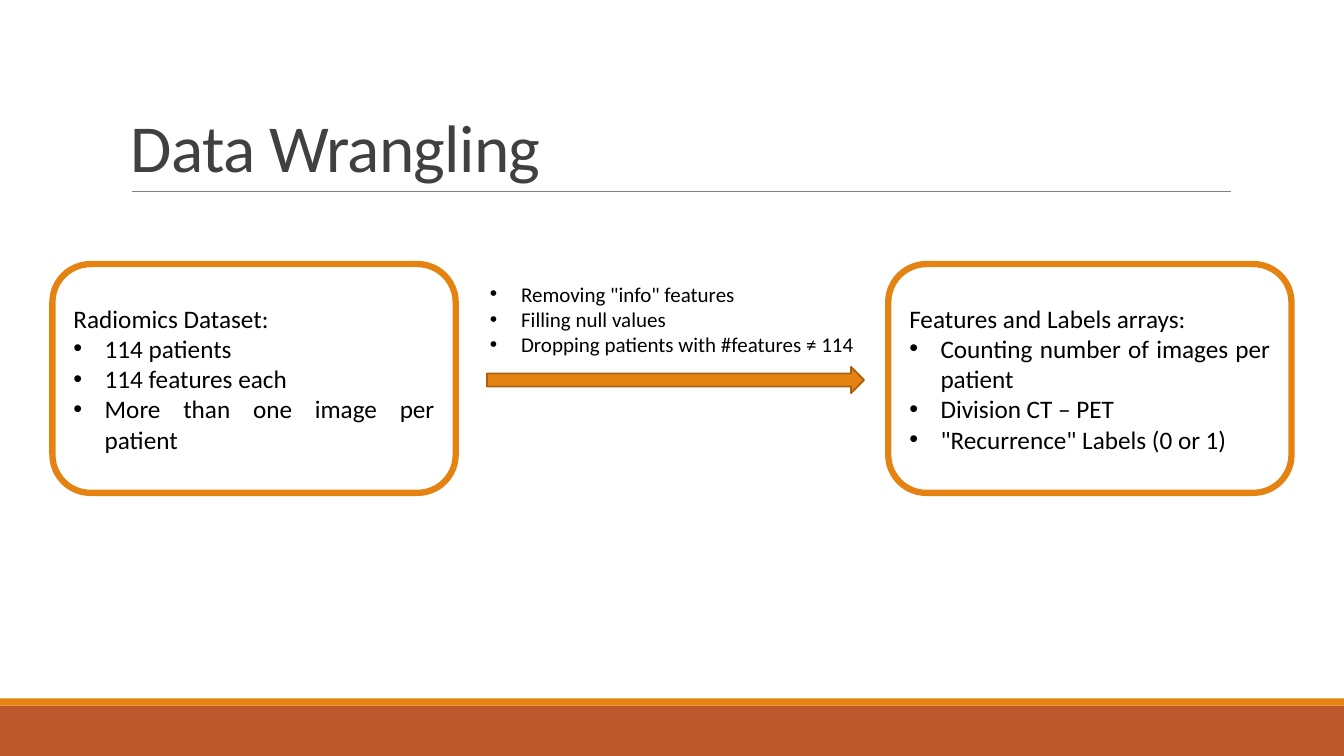
from lxml.etree import SubElement
from pptx import Presentation
from pptx.dml.color import RGBColor
from pptx.enum.shapes import MSO_CONNECTOR as Connector, MSO_SHAPE as Shape
from pptx.enum.text import MSO_ANCHOR as Anchor, PP_ALIGN as Align
from pptx.oxml.ns import qn
from pptx.util import Inches, Pt

ORANGE = "E48312"


def color(value):
    return RGBColor.from_string(value)


class SlideBuilder:
    font = "Calibri"
    ink = "000000"
    bullet_indent = Inches(0.31)

    def __init__(self, slide):
        self.slide = slide

    def shape(self, kind, box, fill=None, line=None, width=1):
        item = self.slide.shapes.add_shape(kind, *map(Inches, box))
        item.shadow.inherit = False
        if fill:
            item.fill.solid()
            item.fill.fore_color.rgb = color(fill)
        else:
            item.fill.background()
        if line:
            item.line.color.rgb = color(line)
            item.line.width = Pt(width)
        else:
            item.line.fill.background()
        return item

    def rule(self, start, end, line, width):
        connector = self.slide.shapes.add_connector(
            Connector.STRAIGHT, *map(Inches, start + end))
        connector.line.color.rgb = color(line)
        connector.line.width = Pt(width)
        SubElement(connector._element.spPr, qn("a:effectLst"))

    def text_box(self, box, anchor=Anchor.TOP):
        frame = self.slide.shapes.add_textbox(*map(Inches, box)).text_frame
        frame.word_wrap = True
        frame.vertical_anchor = anchor
        return frame

    def run(self, paragraph, text, size, ink=None):
        run = paragraph.add_run()
        run.text = text
        run.font.name = self.font
        run.font.size = Pt(size)
        run.font.color.rgb = color(ink or self.ink)
        return run

    def title(self, box, text):
        paragraph = self.text_box(box, Anchor.BOTTOM).paragraphs[0]
        paragraph.line_spacing = 0.85
        run = self.run(paragraph, text, 48, "404040")
        run.font._element.set("spc", "-50")

    def bullet(self, paragraph):
        properties = paragraph._p.get_or_add_pPr()
        properties.set("marL", str(self.bullet_indent))
        properties.set("indent", str(-self.bullet_indent))
        SubElement(properties, qn("a:buFont"), typeface="Arial")
        SubElement(properties, qn("a:buChar"), char="•")

    def listing(self, frame, points, size, align, heading=None):
        lines = ([heading] if heading else []) + points
        for index, line in enumerate(lines):
            paragraph = frame.add_paragraph() if index else frame.paragraphs[0]
            paragraph.alignment = align
            if line != heading:
                self.bullet(paragraph)
            self.run(paragraph, line, size)

    def card(self, left, heading, points):
        card = self.shape(Shape.ROUNDED_RECTANGLE, (left, 2.62, 4, 2.27),
                          line=ORANGE, width=4.5)
        card.text_frame.word_wrap = True
        card.text_frame.vertical_anchor = Anchor.MIDDLE
        self.listing(card.text_frame, points, 18, Align.JUSTIFY, heading)


def main():
    deck = Presentation()
    deck.slide_width, deck.slide_height = Inches(13.33), Inches(7.5)
    builder = SlideBuilder(deck.slides.add_slide(deck.slide_layouts[6]))

    builder.shape(Shape.RECTANGLE, (0, 7, 13.33, 0.5), "BD582C")
    builder.shape(Shape.RECTANGLE, (0, 6.93, 13.33, 0.07), ORANGE)
    builder.rule((1.31, 1.9), (12.21, 1.9), "808080", 0.5)
    builder.title((1.2, 0.31, 11, 1.59), "Data Wrangling")

    builder.card(0.52, "Radiomics Dataset: ", [
        "114 patients",
        "114 features each",
        "More than one image per patient",
    ])
    builder.shape(Shape.RIGHT_ARROW, (4.83, 3.64, 3.74, 0.26),
                  ORANGE, "A9610D", 1.25)
    builder.card(8.81, "Features and Labels arrays:", [
        "Counting number of images per patient",
        "Division CT – PET",
        "\"Recurrence\" Labels (0 or 1)",
    ])
    cleaning_steps = builder.text_box((4.76, 2.74, 3.85, 1.16))
    builder.listing(cleaning_steps, [
        "Removing \"info\" features",
        "Filling null values",
        "Dropping patients with #features ≠ 114",
    ], 15, Align.LEFT)

    deck.save("out.pptx")


if __name__ == "__main__":
    main()
